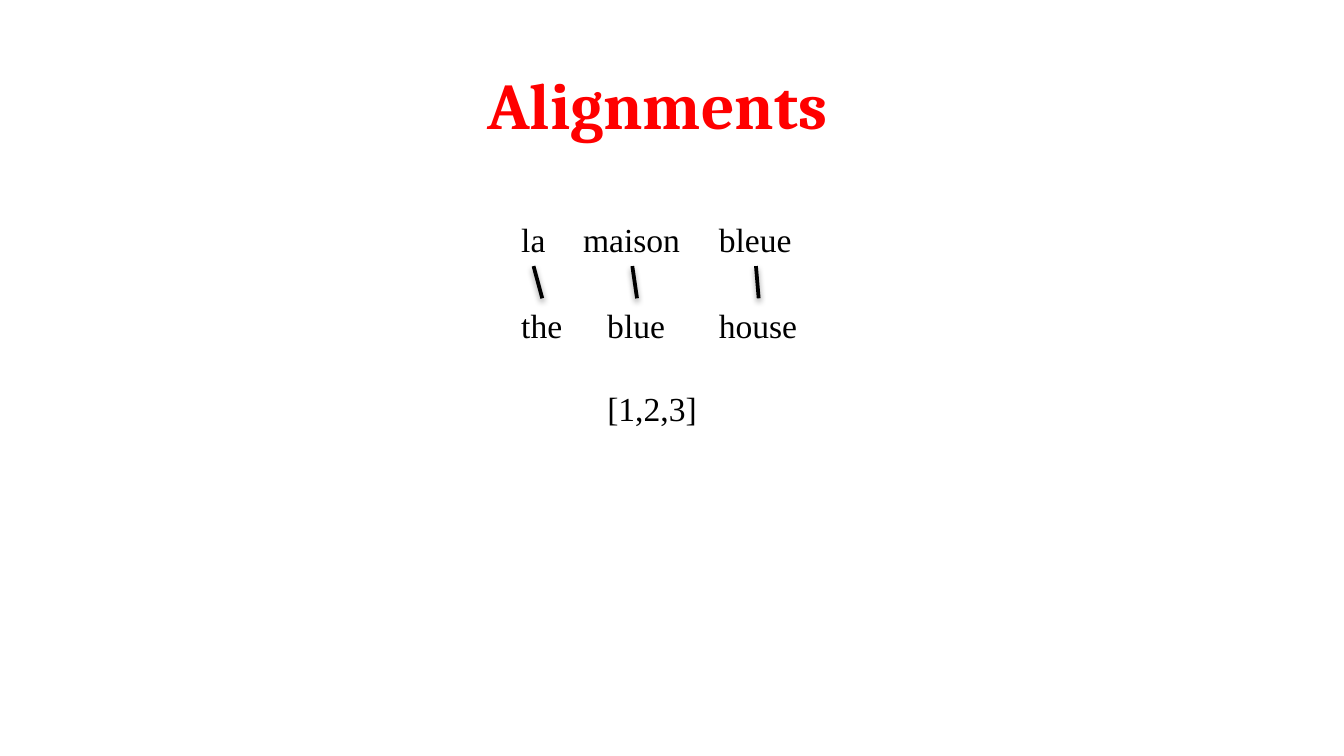
from dataclasses import dataclass

from pptx import Presentation
from pptx.dml.color import RGBColor
from pptx.enum.shapes import MSO_CONNECTOR
from pptx.enum.text import MSO_ANCHOR, MSO_AUTO_SIZE, PP_ALIGN
from pptx.util import Inches, Pt


@dataclass(frozen=True)
class Theme:
    title_color: RGBColor = RGBColor(0xFF, 0x00, 0x00)
    ink: RGBColor = RGBColor(0x00, 0x00, 0x00)
    title_font: str = "Cambria"
    word_font: str = "Times New Roman"
    title_size: int = 35
    word_size: int = 18
    link_width: int = 2


THEME = Theme()
WORD_HEIGHT = 0.4
ROW_STEP = 0.64
FRENCH = [("la", 0, 0.38), ("maison", 0.46, 0.93), ("bleue", 1.47, 0.75)]
ENGLISH = [("the", 0, 0.51), ("blue", 0.64, 0.64), ("house", 1.47, 0.79)]


def add_title(slide, left, top, width, height):
    title = slide.shapes.add_textbox(
        Inches(left), Inches(top), Inches(width), Inches(height)
    )
    frame = title.text_frame
    frame.word_wrap = True
    frame.vertical_anchor = MSO_ANCHOR.TOP
    frame.text = "Alignments"
    paragraph = frame.paragraphs[0]
    paragraph.alignment = PP_ALIGN.CENTER
    font = paragraph.runs[0].font
    font.name = THEME.title_font
    font.size = Pt(THEME.title_size)
    font.bold = True
    font.color.rgb = THEME.title_color


def add_word(slide, text, left, top, width):
    word = slide.shapes.add_textbox(
        Inches(left), Inches(top), Inches(width), Inches(WORD_HEIGHT)
    )
    frame = word.text_frame
    frame.word_wrap = False
    frame.auto_size = MSO_AUTO_SIZE.SHAPE_TO_FIT_TEXT
    frame.text = text
    font = frame.paragraphs[0].runs[0].font
    font.name = THEME.word_font
    font.size = Pt(THEME.word_size)
    font.color.rgb = THEME.ink


def add_link(slide, start_x, start_y, end_x, end_y):
    link = slide.shapes.add_connector(
        MSO_CONNECTOR.STRAIGHT,
        Inches(start_x), Inches(start_y), Inches(end_x), Inches(end_y),
    )
    link.line.color.rgb = THEME.ink
    link.line.width = Pt(THEME.link_width)


def add_alignment(slide, left, top):
    english_top = top + ROW_STEP
    for row_top, sentence in ((top, FRENCH), (english_top, ENGLISH)):
        for text, offset, width in sentence:
            add_word(slide, text, left + offset, row_top, width)
    for (_, source, source_width), (_, target, target_width) in zip(FRENCH, ENGLISH):
        add_link(
            slide,
            left + source + source_width / 2, top + WORD_HEIGHT,
            left + target + target_width / 2, english_top,
        )
    add_word(slide, "[1,2,3]", left + 0.64, top + 1.26, 0.88)


def main():
    presentation = Presentation()
    presentation.slide_width = Inches(10)
    presentation.slide_height = Inches(10 * 9 / 16)
    slide = presentation.slides.add_slide(presentation.slide_layouts[6])
    add_title(slide, 0.28, 0.43, 9.22, 0.77)
    add_alignment(slide, 3.78, 1.58)
    presentation.save("out.pptx")


if __name__ == "__main__":
    main()
